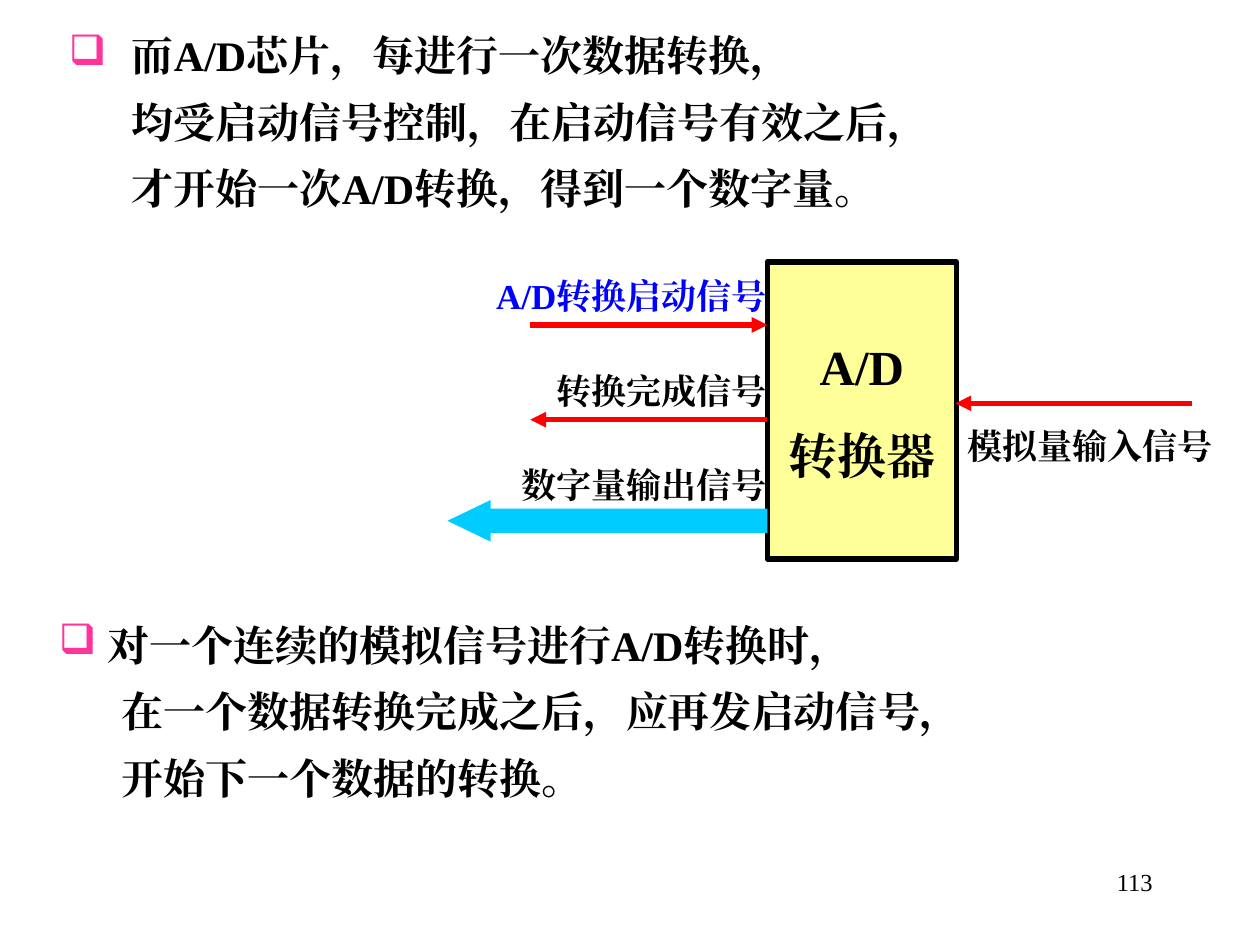
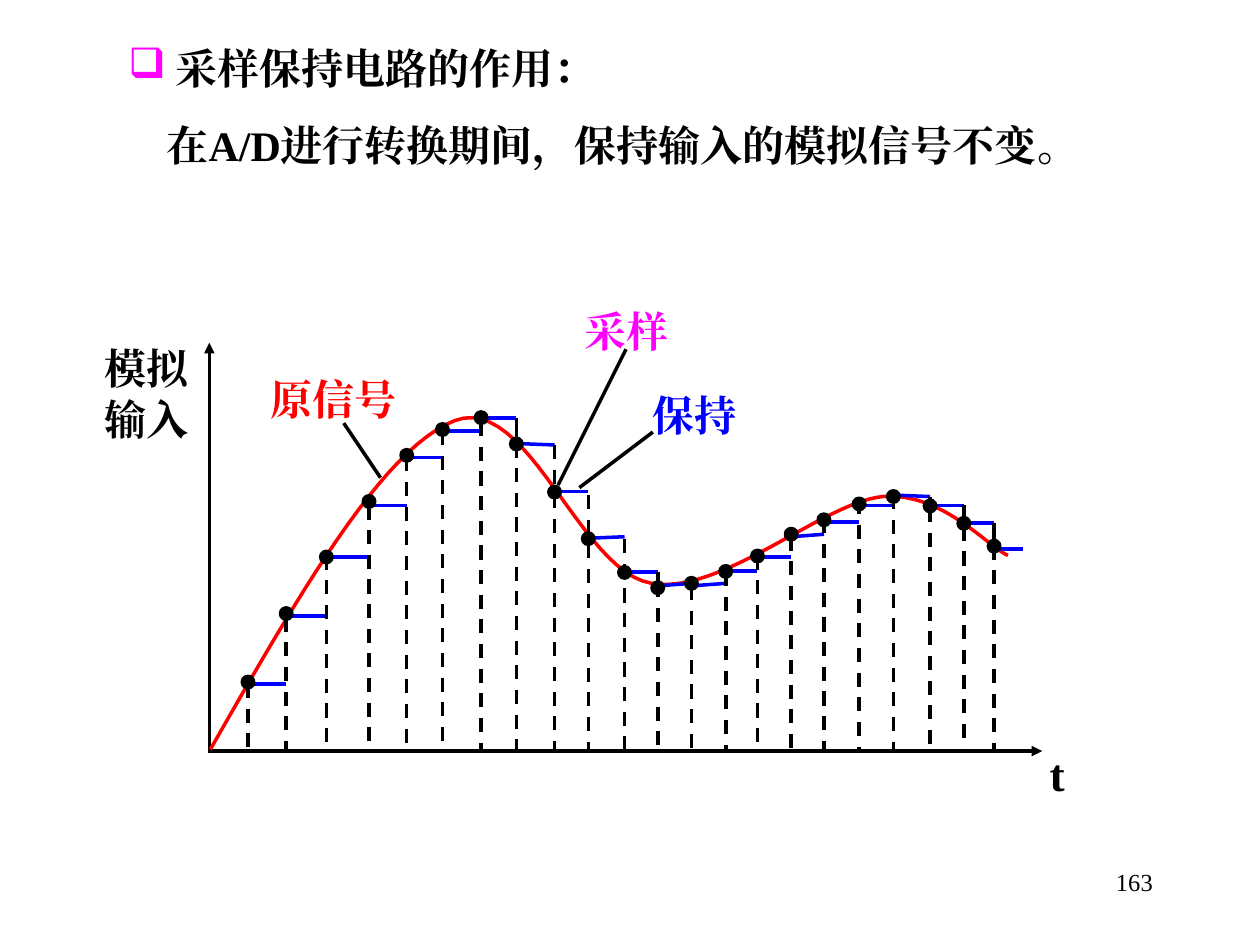
import pptx
import pptx.dml.color
import pptx.enum.dml
import pptx.enum.shapes
import pptx.enum.text
import pptx.oxml.ns
import pptx.util
from dataclasses import dataclass
from lxml import etree

Cm = pptx.util.Cm
Pt = pptx.util.Pt
Align = pptx.enum.text.PP_ALIGN
Anchor = pptx.enum.text.MSO_ANCHOR
Preset = pptx.enum.shapes.MSO_SHAPE
qn = pptx.oxml.ns.qn


@dataclass(frozen=True)
class Theme:
    font: str = "Times New Roman"
    black: str = "000000"
    red: str = "FF0000"
    blue: str = "0000FF"
    magenta: str = "FF00FF"
    pink: str = "FF3399"
    yellow: str = "FFFF99"
    cyan: str = "00CCFF"
    body: int = 24
    label: int = 20
    block: int = 28
    axis: int = 26
    number: int = 14


THEME = Theme()

CONVERTER_NOTES = [
    {"box": (1.14, 0.48, 19, 3.94), "hang": 1.27, "indent": 1.27, "spacing": 1.0,
     "lines": ["而A/D芯片，每进行一次数据转换，",
               "均受启动信号控制，在启动信号有效之后，",
               "才开始一次A/D转换，得到一个数字量。"]},
    {"box": (0.94, 11.86, 19.4, 4.45), "hang": 0.97, "indent": 1.27, "spacing": 1.5,
     "lines": ["对一个连续的模拟信号进行A/D转换时，",
               "在一个数据转换完成之后，应再发启动信号，",
               "开始下一个数据的转换。"]},
]
CONVERTER_BOX = (15.47, 5.28, 3.81, 5.99)
CONVERTER_NAME = ["A/D", "转换器"]
OUTPUT_ARROW = (9.02, 10.08, 6.45, 0.84)
LABEL_RIGHT = 15.46
LEFT_LABELS = [
    ("数字量输出信号", 9.19, 9.35, THEME.black),
    ("A/D转换启动信号", 8.61, 5.54, THEME.blue),
    ("转换完成信号", 9.96, 7.44, THEME.black),
]
INPUT_LABEL = ("模拟量输入信号", (19.25, 8.43, 5.8, 1.12))
SIGNAL_ARROWS = [(24.03, 19.26, 8.13), (10.69, 15.47, 6.55), (15.47, 10.69, 8.46)]

HOLD_NOTE = {"box": (2.34, 0.64, 21.39, 3.02), "hang": 0.94, "indent": 0.77, "spacing": 1.1,
             "lines": ["采样保持电路的作用：",
                       "在A/D进行转换期间，保持输入的模拟信号不变。"]}
AXIS_Y = 15.14
AXES = [((4.19, AXIS_Y), (21.01, AXIS_Y)), ((4.22, AXIS_Y), (4.22, 6.91))]
CURVE = [(4.24, 15.11), (5.97, 12.09), (7.70, 9.04), (9.17, 8.48), (10.64, 7.92),
         (11.68, 11.51), (13.13, 11.76), (14.55, 12.01), (16.61, 10.11),
         (17.81, 10.01), (19.00, 9.93), (19.89, 11.00), (20.32, 11.20)]
CURVE_STEPS = 24

# x, dash top, dot, hold start, hold end
SAMPLES = [
    (5.00, 13.79, 13.75, 13.79, 13.79), (5.77, 12.45, 12.37, 12.42, 12.42),
    (6.58, 11.20, 11.23, 11.23, 11.23), (7.44, 10.19, 10.11, 10.19, 10.19),
    (8.20, 9.22, 9.18, 9.22, 9.22), (8.92, 8.69, 8.66, 8.69, 8.69),
    (9.70, 8.51, 8.42, 8.43, 8.43), (10.41, 8.94, 8.95, 8.94, 8.97),
    (11.18, 8.97, 9.92, 9.91, 9.91), (11.86, 9.98, 10.86, 10.85, 10.82),
    (12.59, 10.87, 11.54, 11.53, 11.53), (13.26, 11.76, 11.85, 11.81, 11.76),
    (13.94, 11.81, 11.76, 11.81, 11.76), (14.63, 11.53, 11.52, 11.51, 11.51),
    (15.27, 11.20, 11.21, 11.23, 11.23), (15.95, 10.82, 10.77, 10.82, 10.77),
    (16.61, 10.46, 10.48, 10.52, 10.52), (17.32, 10.08, 10.16, 10.19, 10.19),
    (18.01, 9.98, 10.01, 9.98, 10.01), (18.75, 10.24, 10.20, 10.19, 10.19),
    (19.43, 10.62, 10.55, 10.54, 10.54), (20.04, 11.00, 11.01, 11.07, 11.07),
]
HOLD_END = 20.62
SOLID_DROPS = {7, 11, 19, 20, 21}
DOT = 0.23
CALLOUTS = [((6.93, 8.53), (7.67, 9.63)), ((11.25, 9.78), (12.62, 7.04)),
            ((11.68, 9.83), (13.16, 8.71))]
PLOT_LABELS = [
    (["t"], (21.16, 15.04, 0.84, 0.84), THEME.axis, THEME.black),
    (["模拟", "输入"], (2.11, 6.91, 1.85, 1.91), THEME.body, THEME.black),
    (["原信号"], (5.46, 7.54, 2.87, 1.07), THEME.body, THEME.red),
    (["采样"], (11.79, 6.15, 1.78, 1.07), THEME.body, THEME.magenta),
    (["保持"], (13.16, 7.85, 1.78, 1.07), THEME.body, THEME.blue),
]
NUMBER_BOX = (18.21, 17.35, 5.28, 1.27)


def rgb(value):
    return pptx.dml.color.RGBColor.from_string(value)


def lengths(values):
    return [Cm(value) for value in values]


def write_run(paragraph, text, size, color, bold=True):
    run = paragraph.add_run()
    run.text = text
    run.font.name = THEME.font
    run.font.size = Pt(size)
    run.font.bold = bold
    run.font.color.rgb = rgb(color)
    properties = run.font._element
    latin = properties.find(qn("a:latin"))
    east_asian = etree.Element(qn("a:ea"), typeface=THEME.font)
    latin.addnext(east_asian)


def write_lines(frame, lines, size, color, align=Align.LEFT, bold=True):
    for index, line in enumerate(lines):
        paragraph = frame.paragraphs[0] if index == 0 else frame.add_paragraph()
        paragraph.alignment = align
        write_run(paragraph, line, size, color, bold)


def clear_insets(frame):
    frame.margin_left = frame.margin_top = frame.margin_right = frame.margin_bottom = 0


def add_text(slide, box, lines, size, color, align=Align.LEFT, bold=True, inset=False):
    frame = slide.shapes.add_textbox(*lengths(box)).text_frame
    frame.word_wrap = True
    if not inset:
        clear_insets(frame)
    write_lines(frame, lines, size, color, align, bold)
    return frame


def add_note(slide, note, bullet_color, space_after):
    frame = add_text(slide, note["box"], note["lines"], THEME.body, THEME.black, inset=True)
    for index, paragraph in enumerate(frame.paragraphs):
        properties = paragraph._p.get_or_add_pPr()
        margin = note["hang"] if index == 0 else note["indent"]
        properties.set("marL", str(Cm(margin)))
        properties.set("indent", str(-Cm(margin) if index == 0 else 0))
        if index == 0:
            color = etree.SubElement(properties, qn("a:buClr"))
            etree.SubElement(color, qn("a:srgbClr"), val=bullet_color)
            etree.SubElement(properties, qn("a:buChar"), char="❑")
            paragraph.line_spacing = note["spacing"]
        paragraph.space_after = Pt(space_after)


def add_preset(slide, preset, box, fill, line=None, width=0):
    shape = slide.shapes.add_shape(preset, *lengths(box))
    shape.shadow.inherit = False
    shape.fill.solid()
    shape.fill.fore_color.rgb = rgb(fill)
    if line:
        shape.line.color.rgb = rgb(line)
        shape.line.width = Pt(width)
    else:
        shape.line.fill.background()
    return shape


def add_line(slide, start, end, color, width=2, dashed=False, arrow=False):
    line = slide.shapes.add_connector(pptx.enum.shapes.MSO_CONNECTOR.STRAIGHT,
                                      *lengths(start + end))
    line.line.color.rgb = rgb(color)
    line.line.width = Pt(width)
    if dashed:
        line.line.dash_style = pptx.enum.dml.MSO_LINE.DASH
    if arrow:
        etree.SubElement(line.line._get_or_add_ln(), qn("a:tailEnd"), type="triangle")
    etree.SubElement(line._element.spPr, qn("a:effectLst"))


def curve_points():
    for first in range(0, len(CURVE) - 1, 3):
        controls = CURVE[first:first + 4]
        for step in range(1, CURVE_STEPS + 1):
            t = step / CURVE_STEPS
            weights = ((1 - t) ** 3, 3 * t * (1 - t) ** 2, 3 * t * t * (1 - t), t ** 3)
            yield tuple(Cm(sum(weight * control[axis]
                               for weight, control in zip(weights, controls)))
                        for axis in (0, 1))


def add_curve(slide):
    builder = slide.shapes.build_freeform(*lengths(CURVE[0]))
    builder.add_line_segments(list(curve_points()), close=False)
    curve = builder.convert_to_shape()
    curve.shadow.inherit = False
    curve.fill.background()
    curve.line.color.rgb = rgb(THEME.red)
    curve.line.width = Pt(2)


def add_slide(presentation, number):
    slide = presentation.slides.add_slide(presentation.slide_layouts[6])
    add_text(slide, NUMBER_BOX, [number], THEME.number, THEME.black,
             Align.RIGHT, bold=False, inset=True)
    return slide


def build_converter(presentation):
    slide = add_slide(presentation, "113")
    for note in CONVERTER_NOTES:
        add_note(slide, note, THEME.pink, 9)
    converter = add_preset(slide, Preset.RECTANGLE, CONVERTER_BOX, THEME.yellow, THEME.black, 3)
    frame = converter.text_frame
    clear_insets(frame)
    frame.vertical_anchor = Anchor.MIDDLE
    write_lines(frame, CONVERTER_NAME, THEME.block, THEME.black, Align.CENTER)
    frame.paragraphs[1].space_before = Pt(17.5)
    output = add_preset(slide, Preset.LEFT_ARROW, OUTPUT_ARROW, THEME.cyan)
    output.adjustments[0] = 0.58
    output.adjustments[1] = 1.04
    for text, left, top, color in LEFT_LABELS:
        add_text(slide, (left, top, LABEL_RIGHT - left, 0.84), [text],
                 THEME.label, color, Align.RIGHT)
    text, box = INPUT_LABEL
    add_text(slide, box, [text], THEME.label, THEME.black, inset=True)
    for start, end, y in SIGNAL_ARROWS:
        add_line(slide, (start, y), (end, y), THEME.red, 3, arrow=True)


def build_sampling(presentation):
    slide = add_slide(presentation, "163")
    add_note(slide, HOLD_NOTE, THEME.magenta, 15)
    for start, end in AXES:
        add_line(slide, start, end, THEME.black, arrow=True)
    add_curve(slide)
    hold_ends = [sample[0] for sample in SAMPLES[1:]] + [HOLD_END]
    for index, (x, top, dot, level, level_end) in enumerate(SAMPLES):
        add_line(slide, (x, top), (x, AXIS_Y), THEME.black, dashed=True)
        add_line(slide, (x, level), (hold_ends[index], level_end), THEME.blue)
        if index in SOLID_DROPS:
            add_line(slide, (x, SAMPLES[index - 1][4]), (x, dot), THEME.black)
    for x, _, dot, _, _ in SAMPLES:
        add_preset(slide, Preset.OVAL, (x - DOT / 2, dot - DOT / 2, DOT, DOT),
                   THEME.black, THEME.black, 2)
    for start, end in CALLOUTS:
        add_line(slide, start, end, THEME.black)
    for lines, box, size, color in PLOT_LABELS:
        add_text(slide, box, lines, size, color)


def main():
    presentation = pptx.Presentation()
    presentation.slide_width = Cm(25.4)
    presentation.slide_height = Cm(19.05)
    build_converter(presentation)
    build_sampling(presentation)
    presentation.save("out.pptx")


if __name__ == "__main__":
    main()
